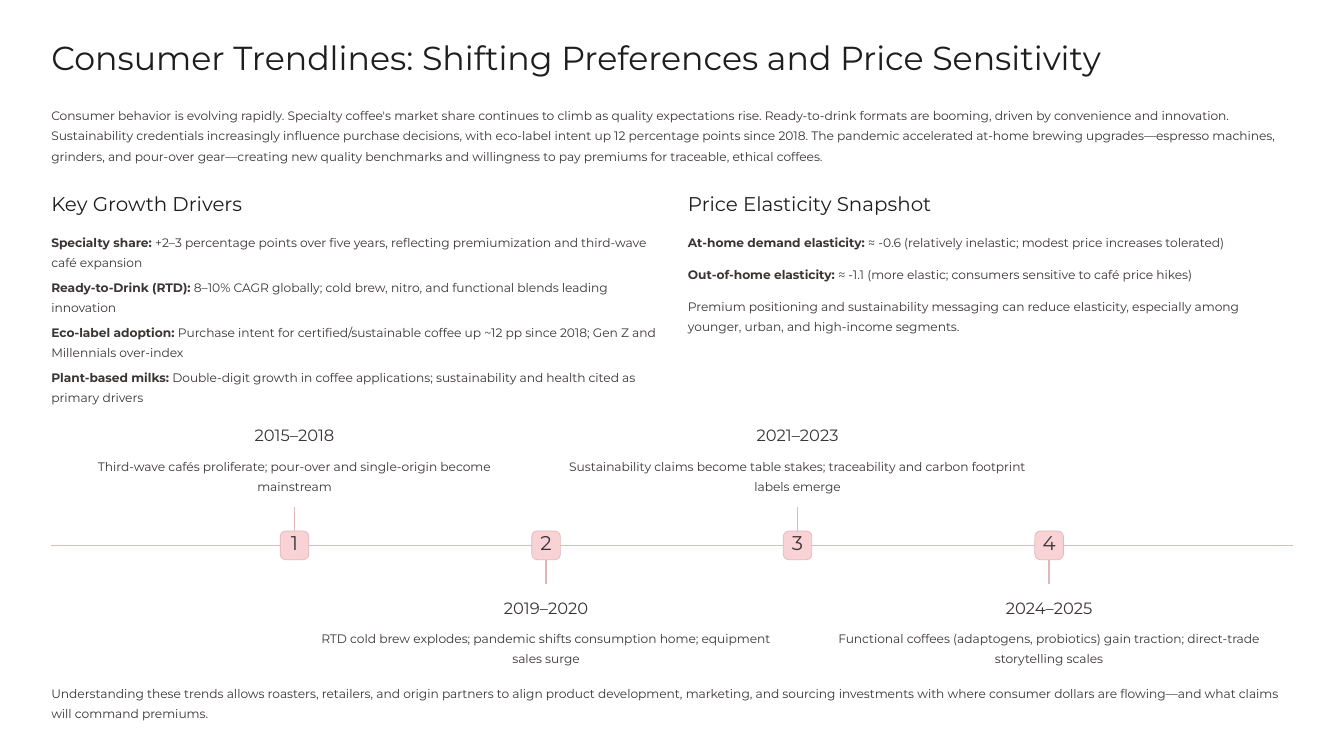
from lxml.etree import SubElement
from pptx import Presentation
from pptx.dml.color import RGBColor
from pptx.enum.shapes import MSO_CONNECTOR, MSO_SHAPE
from pptx.enum.text import MSO_ANCHOR, PP_ALIGN
from pptx.oxml.ns import qn
from pptx.util import Pt

# Content
TITLE = "Consumer Trendlines: Shifting Preferences and Price Sensitivity"
INTRO = (
    "Consumer behavior is evolving rapidly. Specialty coffee's market share continues to climb "
    "as quality expectations rise. Ready-to-drink formats are booming, driven by convenience and "
    "innovation. Sustainability credentials increasingly influence purchase decisions, with "
    "eco-label intent up 12 percentage points since 2018. The pandemic accelerated at-home "
    "brewing upgrades—espresso machines, grinders, and pour-over gear—creating new quality "
    "benchmarks and willingness to pay premiums for traceable, ethical coffees."
)
# Each column: left, heading, row step, rows of (bold lead, text)
COLUMNS = [
    (44, "Key Growth Drivers", 38.6, [
        ("Specialty share:", " +2–3 percentage points over five years, reflecting "
         "premiumization and third-wave café expansion"),
        ("Ready-to-Drink (RTD):", " 8–10% CAGR globally; cold brew, nitro, and functional "
         "blends leading innovation"),
        ("Eco-label adoption:", " Purchase intent for certified/sustainable coffee up ~12 pp "
         "since 2018; Gen Z and Millennials over-index"),
        ("Plant-based milks:", " Double-digit growth in coffee applications; sustainability "
         "and health cited as primary drivers"),
    ]),
    (589.7, "Price Elasticity Snapshot", 27.4, [
        ("At-home demand elasticity:",
         " ≈ -0.6 (relatively inelastic; modest price increases tolerated)"),
        ("Out-of-home elasticity:",
         " ≈ -1.1 (more elastic; consumers sensitive to café price hikes)"),
        ("", "Premium positioning and sustainability messaging can reduce elasticity, "
         "especially among younger, urban, and high-income segments."),
    ]),
]
ERAS = [
    ("2015–2018", "Third-wave cafés proliferate; pour-over and single-origin become mainstream"),
    ("2019–2020", "RTD cold brew explodes; pandemic shifts consumption home; equipment sales surge"),
    ("2021–2023", "Sustainability claims become table stakes; traceability and carbon footprint "
     "labels emerge"),
    ("2024–2025", "Functional coffees (adaptogens, probiotics) gain traction; direct-trade "
     "storytelling scales"),
]
CLOSE = (
    "Understanding these trends allows roasters, retailers, and origin partners to align product "
    "development, marketing, and sourcing investments with where consumer dollars are "
    "flowing—and what claims will command premiums."
)

# Style
FONT = "Montserrat"
DARK = RGBColor(0x1F, 0x1E, 0x1E)
BODY = RGBColor(0x3B, 0x35, 0x35)
PINK = RGBColor(0xF9, 0xD2, 0xD6)
ROSE = RGBColor(0xDF, 0xB8, 0xBC)

# Layout
LEFT, WIDE, COL = 44, 1064, 519
HEAD_TOP, ROW_TOP = 163.4, 196.6
AXIS, FIRST, STEP = 467.5, 252.5, 215.6
BADGE, STEM = 24.5, 33.2
ERA_WIDE = 396

deck = Presentation()
deck.slide_width, deck.slide_height = Pt(1152), Pt(648)
slide = deck.slides.add_slide(deck.slide_layouts[6])
shapes = slide.shapes


def write(shape, parts, size, lead, color=BODY, align=PP_ALIGN.LEFT):
    frame = shape.text_frame
    frame.margin_left = frame.margin_right = frame.margin_top = frame.margin_bottom = 0
    frame.word_wrap = True
    frame.vertical_anchor = MSO_ANCHOR.TOP
    para = frame.paragraphs[0]
    para.alignment, para.line_spacing = align, Pt(lead)
    for text, bold in parts:
        run = para.add_run()
        run.text = text
        run.font.name, run.font.size, run.font.bold = FONT, Pt(size), bold
        run.font.color.rgb = color


def label(x, y, w, h, text, size=10.5, lead=17.5, color=BODY, align=PP_ALIGN.LEFT, bold=""):
    box = shapes.add_textbox(Pt(x), Pt(y), Pt(w), Pt(h))
    parts = [(bold, True)] if bold else []
    write(box, parts + [(text, False)], size, lead, color, align)


def rule(x1, y1, x2, y2):
    line = shapes.add_connector(MSO_CONNECTOR.STRAIGHT, Pt(x1), Pt(y1), Pt(x2), Pt(y2))
    line.line.color.rgb, line.line.width = ROSE, Pt(1.3)
    SubElement(line._element.spPr, qn("a:effectLst"))
    return line


# Title and intro
label(LEFT, 30.2, WIDE, 36, TITLE, 28.5, 36, DARK)
label(LEFT, 87.8, WIDE, 52.5, INTRO)

# Two columns
for x, head, step, rows in COLUMNS:
    label(x, HEAD_TOP, COL, 21.6, head, 17, 21.5, DARK)
    for i, (bold, text) in enumerate(rows):
        label(x, ROW_TOP + i * step, COL, min(step, 35), text, bold=bold)

# Timeline, with eras above and below the axis in turn
rule(LEFT, AXIS, LEFT + WIDE, AXIS)
for i, (years, text) in enumerate(ERAS):
    mid = FIRST + i * STEP
    above = i % 2 == 0
    side = -1 if above else 1
    top = 363.6 if above else 511.2

    badge = shapes.add_shape(MSO_SHAPE.ROUNDED_RECTANGLE, Pt(mid - BADGE / 2),
                             Pt(AXIS - BADGE / 2), Pt(BADGE), Pt(BADGE))
    badge.adjustments[0] = 0.187
    badge.shadow.inherit = False
    badge.fill.solid()
    badge.fill.fore_color.rgb = PINK
    badge.line.color.rgb, badge.line.width = ROSE, Pt(0.6)
    write(badge, [(str(i + 1), False)], 17, 17, align=PP_ALIGN.CENTER)
    badge.text_frame.margin_top = Pt(1.4)

    stem = rule(mid, AXIS + side * BADGE / 2, mid, AXIS + side * STEM)
    stem.begin_connect(badge, 0 if above else 2)

    x = mid - ERA_WIDE / 2
    label(x, top, ERA_WIDE, 18, years, 14, 18, align=PP_ALIGN.CENTER)
    label(x, top + 25, ERA_WIDE, 35, text, align=PP_ALIGN.CENTER)

# Closing line
label(LEFT, 583.2, WIDE, 35, CLOSE)

deck.save("out.pptx")
